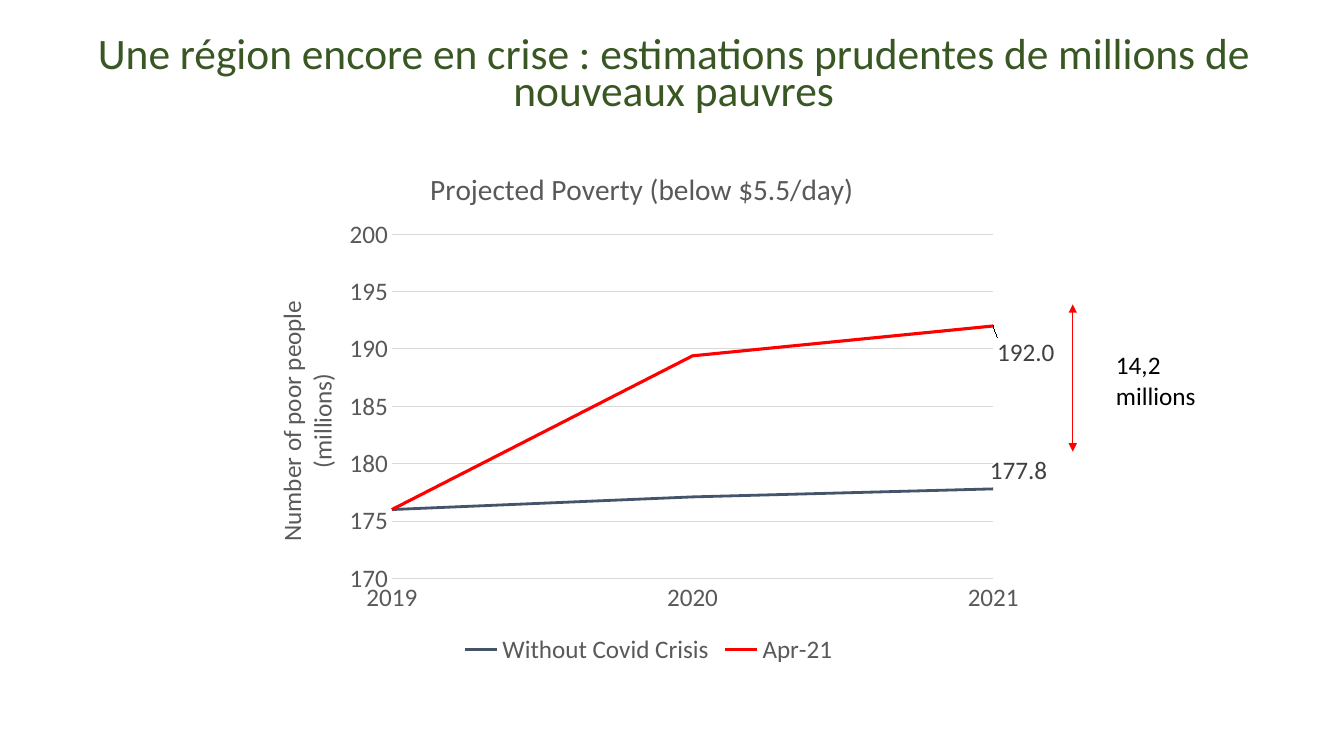
"""Build a slide with a poverty projection line chart and its gap marker."""
from lxml import etree
from pptx import Presentation
from pptx import util as u
from pptx.chart.data import CategoryChartData
from pptx.dml.color import RGBColor
from pptx.enum import chart as ch, shapes, text
from pptx.oxml import parse_xml
from pptx.oxml.ns import nsdecls, qn

SERIES = [
    ("Without Covid Crisis", (176, 177.1, 177.8), "44546A", 2, (-0.009, -0.035)),
    ("Apr-21", (176, 189.4, 192), "FF0000", 2.25, (0, 0.05)),
]


def rgb(color):
    return RGBColor.from_string(color)


def place(parent, index, **values):
    for old in parent.findall(qn("c:layout")):
        parent.remove(old)
    inner = '<c:layoutTarget val="inner"/>' if "w" in values else ""
    modes = "".join(f'<c:{k}Mode val="edge"/>' for k in "xy"
                    if not parent.tag.endswith("dLbl"))
    sizes = "".join(f'<c:{k} val="{v}"/>' for k, v in values.items())
    parent.insert(index, parse_xml(
        f'<c:layout {nsdecls("c")}><c:manualLayout>{inner}{modes}{sizes}'
        '</c:manualLayout></c:layout>'))


class Deck:
    """Hold the text style and the current slide."""

    font, grey, grid, size = "Calibri", "595959", "D9D9D9", 18

    def __init__(self, prs):
        self.s = prs.slides.add_slide(prs.slide_layouts[5])

    def style(self, font, color, size=None):
        font.name, font.size, font.bold = self.font, u.Pt(size or self.size), False
        font.color.rgb = rgb(color)

    def line(self, fmt, color, width):
        fmt.color.rgb, fmt.width = rgb(color), u.Pt(width)

    def title(self, words, box, color, size):
        sp = self.s.shapes.title
        sp.left, sp.top, sp.width, sp.height = map(u.Inches, box)
        tf = sp.text_frame
        tf.text, tf.word_wrap = words, True
        tf.auto_size = text.MSO_AUTO_SIZE.NONE
        tf.vertical_anchor = text.MSO_ANCHOR.MIDDLE
        p = tf.paragraphs[0]
        p.alignment, p.line_spacing = text.PP_ALIGN.CENTER, 0.7
        self.style(p.runs[0].font, color, size)

    def label(self, words, box, color):
        tf = self.s.shapes.add_textbox(*map(u.Inches, box)).text_frame
        tf.text, tf.word_wrap = words, True
        tf.auto_size = text.MSO_AUTO_SIZE.SHAPE_TO_FIT_TEXT
        self.style(tf.paragraphs[0].runs[0].font, color)

    def double_arrow(self, start, end, color, width):
        sp = self.s.shapes.add_connector(
            shapes.MSO_CONNECTOR.STRAIGHT, *map(u.Inches, start + end))
        self.line(sp.line, color, width)
        ln = sp.line._get_or_add_ln()
        for tag in ("a:headEnd", "a:tailEnd"):
            etree.SubElement(ln, qn(tag), type="triangle")
        etree.SubElement(sp._element.spPr, qn("a:effectLst"))

    def heading(self, owner, lines, size, x, y):
        owner.has_title = True
        title = owner.chart_title if hasattr(owner, "chart_title") else owner.axis_title
        tf = title.text_frame
        tf.text = "\n".join(lines)
        for p in tf.paragraphs:
            self.style(p.runs[0].font, self.grey, size)
        place(title._element, 1, x=x, y=y)
        return tf

    def axis(self, axis):
        axis.major_tick_mark = axis.minor_tick_mark = ch.XL_TICK_MARK.NONE
        self.style(axis.tick_labels.font, self.grey)

    def end_label(self, series, index, offset):
        label = series.points[index].data_label
        label.position = ch.XL_LABEL_POSITION.RIGHT
        self.style(label.font, "404040")
        dlbl = series._element.find(".//" + qn("c:dLbl"))
        place(dlbl, 1, x=offset[0], y=offset[1])
        dlbl.insert(2, parse_xml(
            f'<c:numFmt {nsdecls("c")} formatCode="0.0" sourceLinked="0"/>'))

    def line_chart(self, box, years, series):
        data = CategoryChartData()
        data.categories = years
        for name, values, *_ in series:
            data.add_series(name, values)
        chart = self.s.shapes.add_chart(
            ch.XL_CHART_TYPE.LINE, *map(u.Inches, box), data).chart
        self.style(chart.font, "000000")
        self.heading(chart, ["Projected Poverty (below $5.5/day)"], 21, 0.22, 0.05)

        cat, val = chart.category_axis, chart.value_axis
        self.axis(cat)
        self.line(cat.format.line, self.grid, 0.75)
        self.axis(val)
        val.format.line.fill.background()
        val.minimum_scale, val.maximum_scale, val.major_unit = 170, 200, 5
        val.tick_labels.number_format = "0"
        val.tick_labels.number_format_is_linked = False
        self.line(val.major_gridlines.format.line, self.grid, 0.75)
        tf = self.heading(val, ["Number of poor people", "(millions)"], 18, 0.03, 0.3)
        tf._txBody.bodyPr.set("rot", "-5400000")
        tf._txBody.bodyPr.set("vert", "horz")
        val._element.find(qn("c:majorUnit")).addprevious(parse_xml(
            f'<c:crossBetween {nsdecls("c")} val="midCat"/>'))

        chart.has_legend = True
        chart.legend.position = ch.XL_LEGEND_POSITION.BOTTOM
        chart.legend.include_in_layout = False
        self.style(chart.legend.font, self.grey)
        place(chart.legend._element, 1, x=0.26, y=0.92)
        plot = chart.plots[0]
        plot.vary_by_categories = False
        place(plot._element.getparent(), 0, x=0.179, y=0.183, w=0.748, h=0.642)
        for ser, (_, values, color, width, offset) in zip(plot.series, series):
            ser.smooth = False
            ser.marker.style = ch.XL_MARKER_STYLE.NONE
            self.line(ser.format.line, color, width)
            self.end_label(ser, len(values) - 1, offset)


def main():
    prs = Presentation()
    prs.slide_width, prs.slide_height = u.Inches(13.33), u.Inches(7.5)
    deck = Deck(prs)
    deck.title("Une région encore en crise : estimations prudentes de millions "
               "de nouveaux pauvres", (0.35, 0.37, 12.66, 0.79), "385723", 31)
    deck.line_chart((2.46, 1.35, 8, 5.32), ("2019", "2020", "2021"), SERIES)
    deck.double_arrow((10.64, 3.02), (10.64, 4.48), "FF0000", 0.5)
    deck.label("14,2 millions", (10.97, 3.42, 1.41, 0.4), "000000")
    prs.save("out.pptx")


if __name__ == "__main__":
    main()
